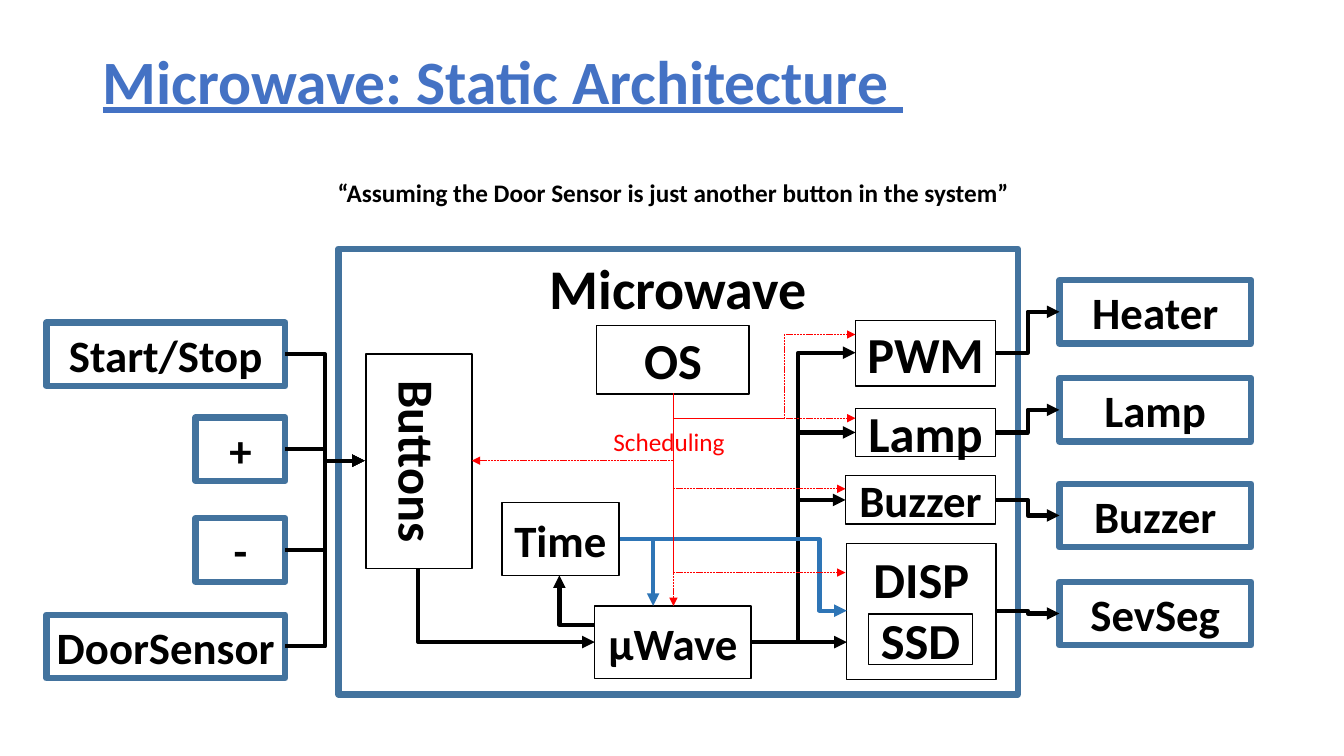
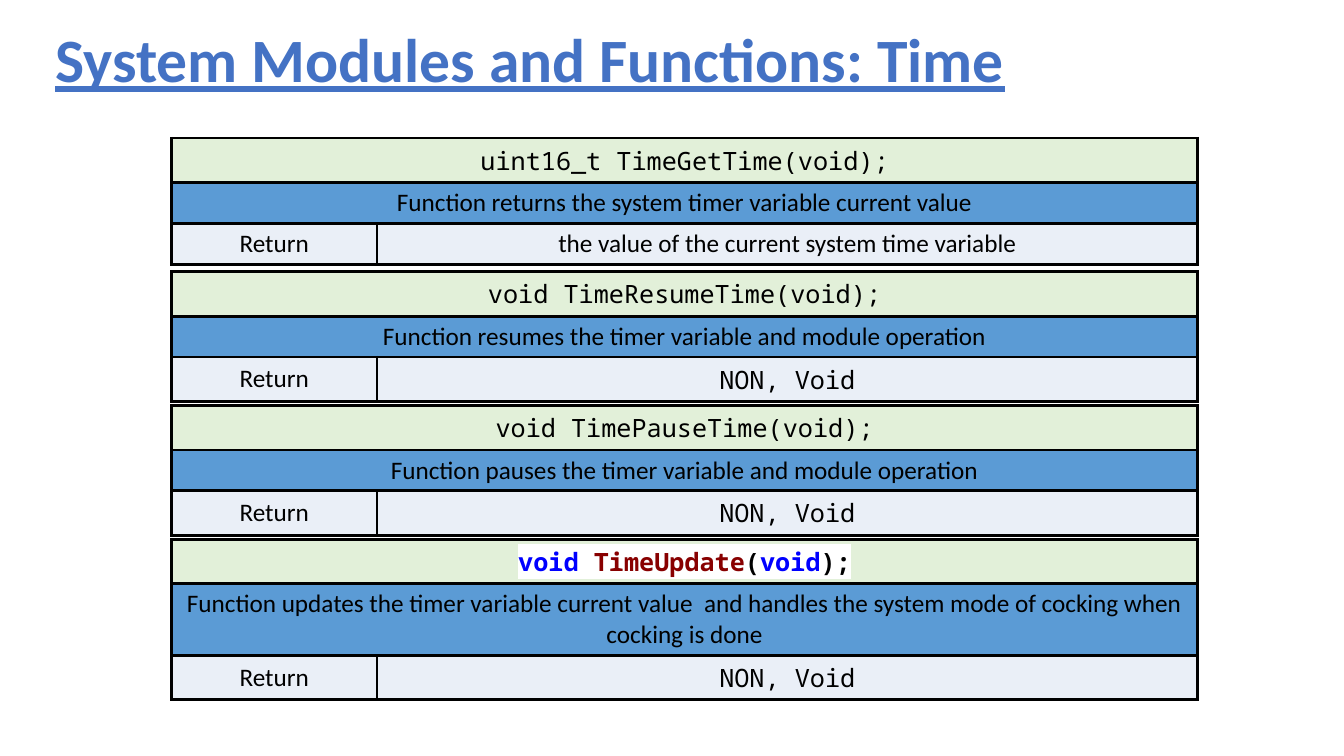
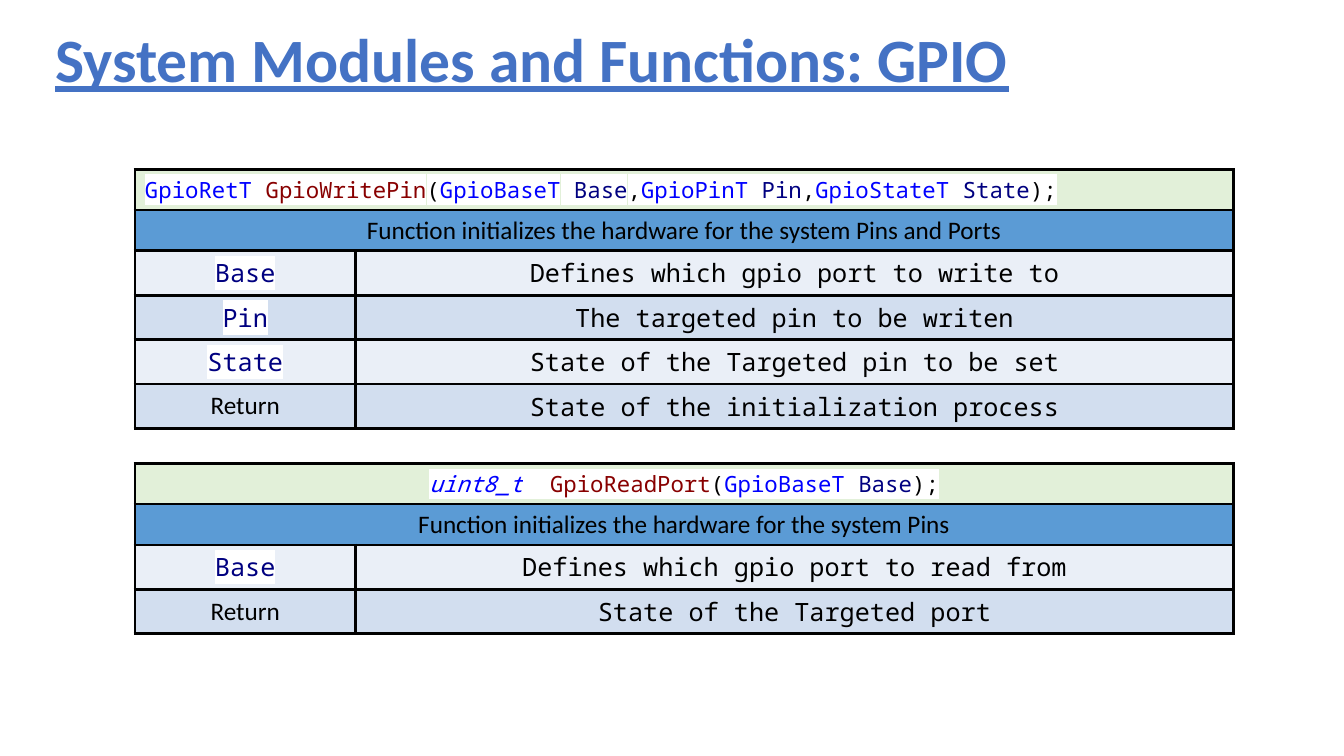
from lxml import etree
from pptx import Presentation
from pptx.dml.color import RGBColor
from pptx.enum import dml, shapes, text
from pptx.oxml import ns
from pptx.util import Cm, Pt


# Theme: colours, fonts and type sizes
class Look:
    sans, mono = "Calibri", "Noto Sans Mono"
    black, white, red = "000000", "FFFFFF", "FF0000"
    title, frame, flow = "4472C4", "43739E", "2E75B6"
    word, name, arg = "0000FF", "880000", "000080"
    head, note = "E2F0D9", "5B9BD5"
    bands = ["EAEFF7", "D2DEEF"]
    top, main, big, mid, body, code = 44, 40, 36, 32, 18, 16
    thick, bold, thin, hair, rule = 4.5, 3, 1, 0.5, 2.25


def write(para, words, size, font=Look.sans, tint=Look.black,
          bold=False, ital=False, under=False, mark=False):
    """Add one run to a paragraph."""
    run = para.add_run()
    run.text = words
    face = run.font
    face.size, face.name = Pt(size), font
    face.bold, face.italic, face.underline = bold, ital, under
    face.color.rgb = RGBColor.from_string(tint)
    if mark:
        glow = etree.Element(ns.qn("a:highlight"))
        etree.SubElement(glow, ns.qn("a:srgbClr"), val=Look.white)
        run._r.rPr.find(ns.qn("a:solidFill")).addnext(glow)


def link(start, end, bends=None, tint=Look.black, width=Look.bold, tip="tailEnd"):
    """Draw an arrow; bends holds the elbow ratios, None means straight."""
    kind = shapes.MSO_CONNECTOR.STRAIGHT if bends is None else shapes.MSO_CONNECTOR.ELBOW
    wire = page.shapes.add_connector(kind, *[Cm(n) for n in start + end])
    wire.line.color.rgb = RGBColor.from_string(tint)
    wire.line.width = Pt(width)
    if width == Look.hair:
        wire.line.dash_style = dml.MSO_LINE.SQUARE_DOT
    props = wire._element.spPr
    if bends is not None:
        geom = props.find(ns.qn("a:prstGeom"))
        geom.set("prst", f"bentConnector{len(bends) + 2}")
        marks = geom.find(ns.qn("a:avLst"))
        for i, part in enumerate(bends, 1):
            etree.SubElement(marks, ns.qn("a:gd"), name=f"adj{i}",
                             fmla=f"val {round(part * 100000)}")
    etree.SubElement(props.find(ns.qn("a:ln")), ns.qn(f"a:{tip}"), type="triangle")
    etree.SubElement(props, ns.qn("a:effectLst"))


deck = Presentation()
deck.slide_width, deck.slide_height = Cm(33.87), Cm(19.05)

# Slides and titles
low = (1.14, 0.43, 32.23, 2.31)
heads = [
    ("Microwave: Static Architecture ", (2.33, 0.53, 29.21, 3.18)),
    ("System Modules and Functions: Time", low),
    ("System Modules and Functions: GPIO", low),
]
pages = []
for words, spot in heads:
    page = deck.slides.add_slide(deck.slide_layouts[5])
    title = page.shapes.title
    title.left, title.top, title.width, title.height = [Cm(n) for n in spot]
    frame = title.text_frame
    frame.auto_size = text.MSO_AUTO_SIZE.NONE
    frame.vertical_anchor = text.MSO_ANCHOR.MIDDLE
    para = frame.paragraphs[0]
    para.alignment, para.line_spacing = text.PP_ALIGN.LEFT, 0.9
    write(para, words, Look.top, tint=Look.title, bold=True, under=True)
    pages.append(page)

# Slide 1: blocks as label, left, top, width, height, size
page = pages[0]
edge, port, high = 7.19, 26.7, 1.6
ins = [("Start/Stop", 8.13, 6.02), ("+", 10.52, 2.26),
       ("-", 13.06, 2.26), ("DoorSensor", 15.49, 6.02)]
outs = [("Heater", 7.06, 8.89), ("Lamp", 9.53, 10.9),
        ("Buzzer", 12.19, 12.6), ("SevSeg", 14.66, 15.39)]
outer = [("Microwave", 8.53, 6.27, 17.12, 11.23, Look.main)]
outer += [(name, edge - wide, top, wide, high, Look.mid) for name, top, wide in ins]
outer += [(name, port, top, 4.83, high, Look.mid) for name, top, _ in outs]
inner = [
    ("µWave", 14.99, 15.27, 3.94, 1.83, Look.mid),
    ("OS", 15.04, 8.2, 3.84, 1.73, Look.big),
    ("PWM", 21.56, 8.08, 3.53, 1.65, Look.big),
    ("Lamp", 21.56, 10.29, 3.53, 1.22, Look.big),
    ("Buzzer", 21.31, 11.99, 3.78, 1.22, Look.mid),
    ("DISP", 21.34, 13.69, 3.76, 3.43, Look.big),
    ("SSD", 21.89, 15.47, 2.62, 1.27, Look.big),
    ("Time", 12.65, 12.67, 2.95, 1.83, Look.mid),
    ("Buttons", 7.85, 10.29, 5.41, 2.67, Look.big),
]
for group, tint, width in [(outer, Look.frame, Look.thick), (inner, Look.black, Look.thin)]:
    for name, *spot, size in group:
        box = page.shapes.add_shape(shapes.MSO_SHAPE.RECTANGLE, *[Cm(n) for n in spot])
        box.shadow.inherit = False
        box.fill.background()
        box.line.color.rgb = RGBColor.from_string(tint)
        box.line.width = Pt(width)
        box.rotation = 90 if name == "Buttons" else 0
        frame = box.text_frame
        frame.word_wrap = True
        holds = name in ("Microwave", "DISP")
        frame.vertical_anchor = text.MSO_ANCHOR.TOP if holds else text.MSO_ANCHOR.MIDDLE
        para = frame.paragraphs[0]
        para.alignment = text.PP_ALIGN.CENTER
        write(para, name, size, bold=True)

# Inputs to buttons, modules to outputs
for _, top, _ in ins:
    link((edge, top + high / 2), (9.19, 11.61), [0.5])
for _, top, out in outs:
    link((25.1, out), (port, top + high / 2), [0.5])

# µWave to its modules along one shared riser
start, riser = (18.92, 16.18), 20.12
for x, y in [(21.56, 8.89), (21.56, 10.9), (21.31, 12.6)]:
    link(start, (x, y), [(riser - start[0]) / (x - start[0])])
link(start, (21.34, 16.18))
link((14.99, 15.75), (14.1, 14.5), [])
link((14.99, 16.18), (10.54, 14.33), [], tip="headEnd")

# Time signals
link((15.62, 13.59), (21.34, 15.39), [0.88], Look.flow)
link((15.62, 13.59), (16.46, 15.27), [], Look.flow)

# Scheduling from the OS, drawn back from each target
core = (16.97, 9.91)
for spot, bends in [((11.89, 11.61), []), ((21.31, 14.43), []), ((21.31, 12.32), []),
                    ((21.56, 10.54), []), ((21.56, 8.43), [0.39, 1.43])]:
    link(spot, core, bends, Look.red, Look.hair, "headEnd")
link(core, (16.97, 15.27), None, Look.red, Look.hair)

# Notes
for words, spot, tint, bold in [
    ("Scheduling", (15.21, 10.62, 4.27, 1.02), Look.red, False),
    ("“Assuming the Door Sensor is just another button in the system”",
     (8.26, 4.34, 17.65, 1.02), Look.black, True),
]:
    frame = page.shapes.add_textbox(*[Cm(n) for n in spot]).text_frame
    frame.word_wrap = True
    write(frame.paragraphs[0], words, Look.body, tint=tint, bold=bold)

# Slides 2 and 3: code runs are (words, colour) pairs, plain text is one black run
gap = (" ", Look.name)
base = [("GpioBaseT", Look.word), gap, ("Base", Look.arg)]
none = [("Return", "NON, Void")]
times = [
    ("uint16_t TimeGetTime(void);",
     "Function returns the system timer variable current value",
     [("Return", "the value of the current system time variable")]),
    ("void TimeResumeTime(void);",
     "Function resumes the timer variable and module operation", none),
    ("void TimePauseTime(void);",
     "Function pauses the timer variable and module operation", none),
    ([("void", Look.word), gap, ("TimeUpdate", Look.name), ("(", Look.black),
      ("void", Look.word), (");", Look.black)],
     "Function updates the timer variable current value  and handles the system "
     "mode of cocking when cocking is done", none),
]
pins = [
    ([("GpioRetT", Look.word), gap, ("GpioWritePin", Look.name), ("(", Look.black),
      *base, (",", Look.black), ("GpioPinT", Look.word), gap, ("Pin", Look.arg),
      (",", Look.black), ("GpioStateT", Look.word), gap, ("State", Look.arg),
      (");", Look.black)],
     "Function initializes the hardware for the system Pins and Ports",
     [("Base", "Defines which gpio port to write to"),
      ("Pin", "The targeted pin to be writen"),
      ("State", "State of the Targeted pin to be set"),
      ("Return", "State of the initialization process")]),
    ([("uint8_t", Look.word), ("  ", Look.name), ("GpioReadPort", Look.name),
      ("(", Look.black), *base, (");", Look.black)],
     "Function initializes the hardware for the system Pins",
     [("Base", "Defines which gpio port to read from"),
      ("Return", "State of the Targeted port")]),
]
sets = [
    (pages[1], times, 4.32, (5.18, 20.68), 3.48, 3.37, Look.body),
    (pages[2], pins, 3.4, (5.56, 22.12), 4.27, 7.41, Look.code),
]
for page, funcs, left, cols, top, step, size in sets:
    for i, (sign, note, rows) in enumerate(funcs):
        grid = page.shapes.add_table(
            len(rows) + 2, 2, Cm(left), Cm(top + i * step),
            Cm(sum(cols)), Cm(len(rows) + 2)).table
        for col, wide in zip(grid.columns, cols):
            col.width = Cm(wide)
        for r in (0, 1):
            grid.cell(r, 0).merge(grid.cell(r, 1))

        # Fills and borders
        fills = [Look.head, Look.note] + [Look.bands[n % 2] for n in range(len(rows))]
        for row, fill in zip(grid.rows, fills):
            row.height = Cm(1)
            for cell in row.cells:
                cell.fill.solid()
                cell.fill.fore_color.rgb = RGBColor.from_string(fill)
                cell.vertical_anchor = text.MSO_ANCHOR.MIDDLE
                cell.text_frame.paragraphs[0].alignment = text.PP_ALIGN.CENTER
                for n, side in enumerate(("lnL", "lnR", "lnT", "lnB")):
                    line = etree.Element(ns.qn(f"a:{side}"), w=str(Pt(Look.rule)))
                    paint = etree.SubElement(line, ns.qn("a:solidFill"))
                    etree.SubElement(paint, ns.qn("a:srgbClr"), val=Look.black)
                    cell._tc.tcPr.insert(n, line)

        # Signature, description and rows
        para = grid.cell(0, 0).text_frame.paragraphs[0]
        if len(rows) > 2:
            para.alignment = text.PP_ALIGN.LEFT
        plain = isinstance(sign, str)
        for words, tint in [(sign, Look.black)] if plain else sign:
            write(para, words, size, Look.mono, tint, mark=not plain,
                  bold=not plain and funcs is times, ital=words == "uint8_t")
        write(grid.cell(1, 0).text_frame.paragraphs[0], note, Look.body)
        for r, (name, value) in enumerate(rows, 2):
            key, val = [grid.cell(r, c).text_frame.paragraphs[0] for c in (0, 1)]
            if name == "Return":
                write(key, name, Look.body)
            else:
                write(key, name, Look.body, Look.mono, Look.arg, mark=True)
            prose = value.startswith("the value")
            write(val, value, Look.body, Look.sans if prose else Look.mono)

deck.save("out.pptx")
